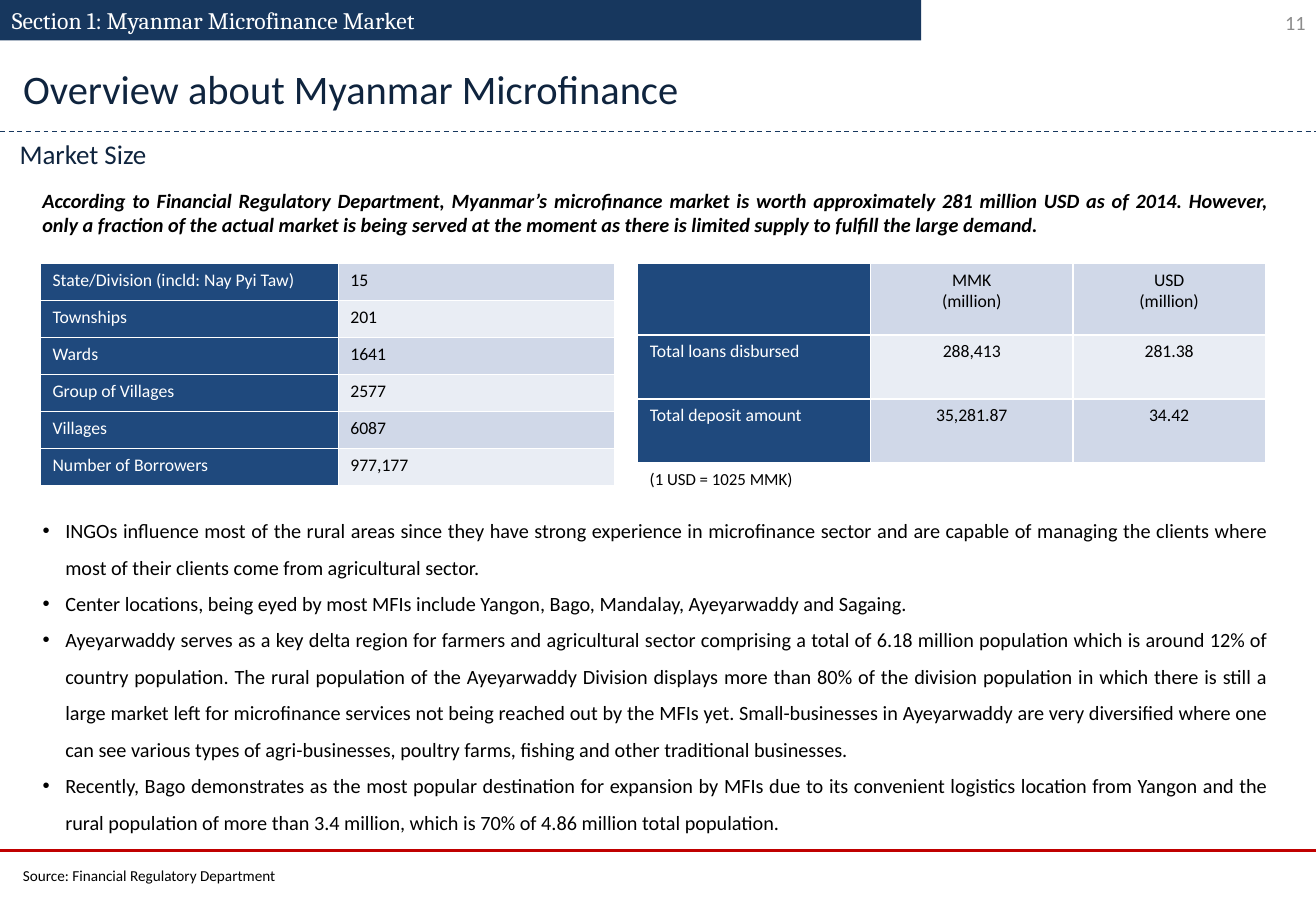
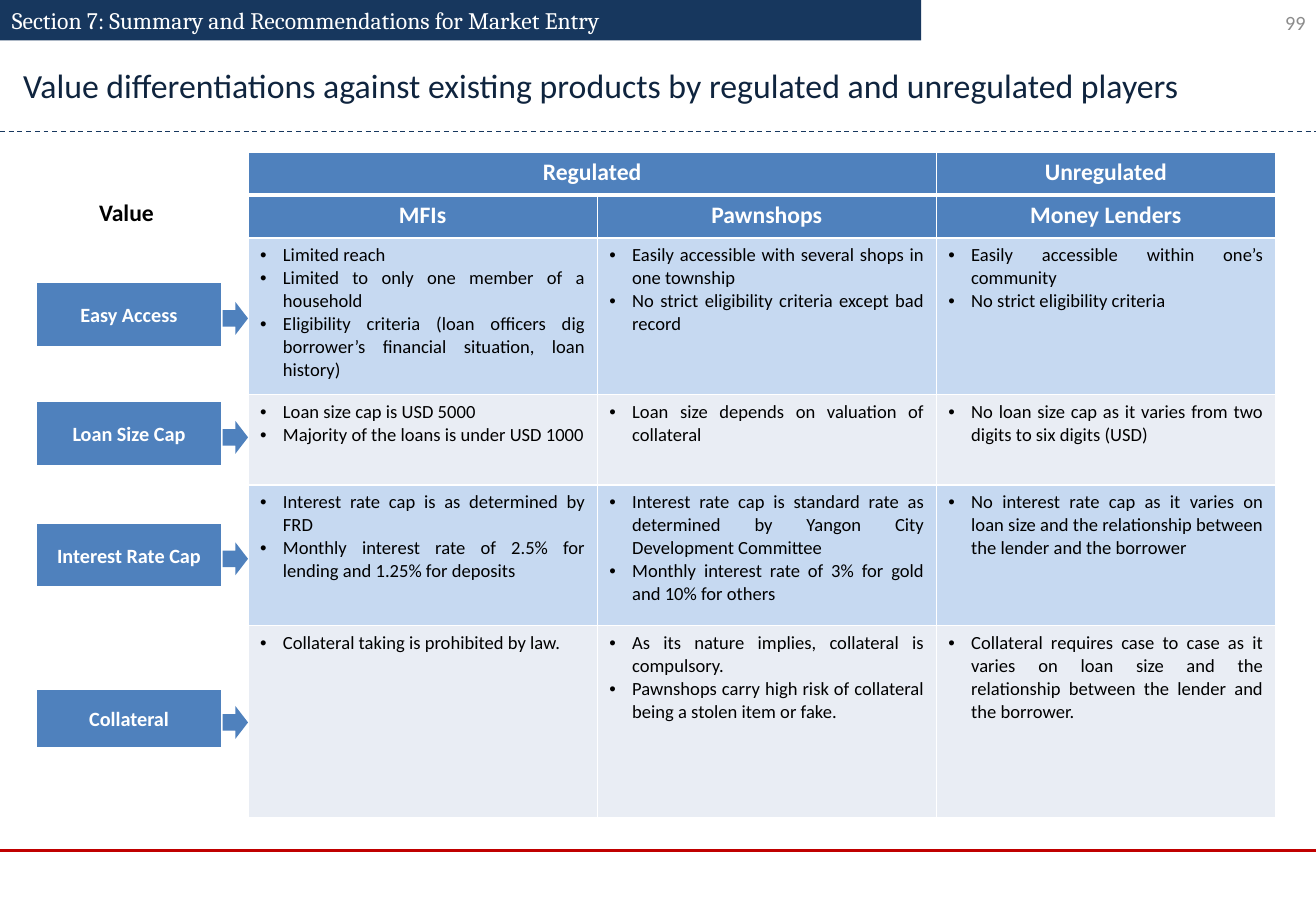
from lxml.etree import SubElement
from pptx import Presentation
from pptx.dml.color import RGBColor
from pptx.enum.dml import MSO_LINE
from pptx.enum.shapes import MSO_CONNECTOR, MSO_SHAPE
from pptx.enum.text import MSO_ANCHOR, MSO_AUTO_SIZE, PP_ALIGN
from pptx.oxml.ns import qn
from pptx.util import Pt

NAVY = RGBColor(0x17, 0x37, 0x5E)
INK = RGBColor(0x0F, 0x24, 0x3E)
RED = RGBColor(0xC0, 0x00, 0x00)
GRAY = RGBColor(0x8C, 0x8C, 0x8C)
BLACK = RGBColor(0x00, 0x00, 0x00)
WHITE = RGBColor(0xFF, 0xFF, 0xFF)
DARK_BLUE = RGBColor(0x1F, 0x49, 0x7D)
BLUE = RGBColor(0x4F, 0x81, 0xBD)
SKY = RGBColor(0xC6, 0xD9, 0xF1)
BAND_DARK = RGBColor(0xD0, 0xD8, 0xE8)
BAND_LIGHT = RGBColor(0xE9, 0xED, 0xF4)
LEFT, CENTER, RIGHT, JUSTIFY = (PP_ALIGN.LEFT, PP_ALIGN.CENTER,
                                PP_ALIGN.RIGHT, PP_ALIGN.JUSTIFY)
WIDTH, HEIGHT = 780, 540


def write(tf, lines, size, color, align=LEFT, bold=False, italic=False,
          font="Calibri", bullet=False, spacing=1.0):
    """Fill a text frame, one paragraph per line."""
    tf.word_wrap = True
    for i, line in enumerate(lines):
        p = tf.paragraphs[0] if i == 0 else tf.add_paragraph()
        if bullet:
            pPr = p._p.get_or_add_pPr()
            pPr.set("marL", str(Pt(13.5)))
            pPr.set("indent", str(-Pt(13.5)))
            SubElement(pPr, qn("a:buFont")).set("typeface", "Arial")
            SubElement(pPr, qn("a:buChar")).set("char", "•")
        p.alignment = align
        p.line_spacing = spacing
        p.space_before = Pt(0)
        r = p.add_run()
        r.text = line
        r.font.name, r.font.size = font, Pt(size)
        r.font.bold, r.font.italic = bold, italic
        r.font.color.rgb = color


def paint(cell, fill, top=1, bottom=1):
    """Give a cell white borders and a solid fill."""
    tcPr = cell._tc.get_or_add_tcPr()
    for side, width in (("L", 1), ("R", 1), ("T", top), ("B", bottom)):
        ln = SubElement(tcPr, qn("a:ln" + side), w=str(Pt(width)))
        SubElement(SubElement(ln, qn("a:solidFill")), qn("a:srgbClr")).set("val", str(WHITE))
    cell.fill.solid()
    cell.fill.fore_color.rgb = fill


prs = Presentation()
prs.slide_width, prs.slide_height = Pt(WIDTH), Pt(HEIGHT)

# Shared frame: section band, rules, page number, title
pages = [
    (1, "Section 1: Myanmar Microfinance Market", "11",
     "Overview about Myanmar Microfinance", 24),
    (5, "Section 7: Summary and Recommendations for Market Entry", "99",
     "Value differentiations against existing products by regulated and unregulated players", 20),
]
for layout, section, number, title, size in pages:
    s = prs.slides.add_slide(prs.slide_layouts[layout])
    band = s.shapes.add_shape(MSO_SHAPE.RECTANGLE, 0, 0, Pt(546), Pt(24))
    band.shadow.inherit = False
    band.fill.solid()
    band.fill.fore_color.rgb = NAVY
    band.line.fill.background()
    band.text_frame.vertical_anchor = MSO_ANCHOR.TOP
    write(band.text_frame, [section], 14, WHITE, font="Cambria")

    for y, color, width, dash in ((78, NAVY, 0.75, MSO_LINE.DASH), (504, RED, 1.5, None)):
        rule = s.shapes.add_connector(MSO_CONNECTOR.STRAIGHT, 0, Pt(y), Pt(WIDTH), Pt(y))
        rule.line.color.rgb = color
        rule.line.width = Pt(width)
        rule.line.dash_style = dash
        SubElement(rule._element.spPr, qn("a:effectLst"))

    sp = s.shapes.add_textbox(Pt(599), Pt(-1.5), Pt(182), Pt(29))
    sp.text_frame.vertical_anchor = MSO_ANCHOR.MIDDLE
    write(sp.text_frame, [number], 12, GRAY, RIGHT)

    sp = s.shapes.title
    sp.left, sp.top, sp.width, sp.height = Pt(6.5), Pt(34.5), Pt(767), Pt(36)
    sp.text_frame.auto_size = MSO_AUTO_SIZE.NONE
    sp.text_frame.vertical_anchor = MSO_ANCHOR.TOP
    write(sp.text_frame, [title], size, INK)

market, values = prs.slides

# Market size: key points
sp = market.placeholders[1]
sp.left, sp.top, sp.width, sp.height = Pt(18), Pt(296.5), Pt(741.5), Pt(204)
sp.text_frame.auto_size = MSO_AUTO_SIZE.NONE
write(sp.text_frame, [
    "INGOs influence most of the rural areas since they have strong experience in microfinance "
    "sector and are capable of managing the clients where most of their clients come from "
    "agricultural sector.",
    "Center locations, being eyed by most MFIs include Yangon, Bago, Mandalay, Ayeyarwaddy and "
    "Sagaing.",
    "Ayeyarwaddy serves as a key delta region for farmers and agricultural sector comprising a "
    "total of 6.18 million population which is around 12% of country population. The rural "
    "population of the Ayeyarwaddy Division displays more than 80% of the division population in "
    "which there is still a large market left for microfinance services not being reached out by "
    "the MFIs yet. Small-businesses in Ayeyarwaddy are very diversified where one can see various "
    "types of agri-businesses, poultry farms, fishing and other traditional businesses.",
    "Recently, Bago demonstrates as the most popular destination for expansion by MFIs due to its "
    "convenient logistics location from Yangon and the rural population of more than 3.4 million, "
    "which is 70% of 4.86 million total population.",
], 12, BLACK, JUSTIFY, bullet=True, spacing=1.5)

# Market size: subtitle, lead sentence, exchange rate, source
lead = ("According to Financial Regulatory Department, Myanmar’s microfinance market is worth "
        "approximately 281 million USD as of 2014. However, only a fraction of the actual market "
        "is being served at the moment as there is limited supply to fulfill the large demand.")
for x, y, w, h, text, size, color, align, strong in (
        (4.5, 78, 719, 27, "Market Size", 16, INK, LEFT, False),
        (18, 108, 741.5, 36, lead, 12, BLACK, JUSTIFY, True),
        (378, 274.5, 120, 19, "(1 USD = 1025 MMK)", 10, BLACK, LEFT, False),
        (6.5, 510, 559, 18, "Source: Financial Regulatory Department", 9, BLACK, LEFT, False)):
    sp = market.shapes.add_textbox(Pt(x), Pt(y), Pt(w), Pt(h))
    write(sp.text_frame, [text], size, color, align, bold=strong, italic=strong)

# Market size: coverage and amount tables
coverage = [
    ["State/Division (incld: Nay Pyi Taw)", "15"],
    ["Townships", "201"],
    ["Wards", "1641"],
    ["Group of Villages", "2577"],
    ["Villages", "6087"],
    ["Number of Borrowers", "977,177"],
]
amounts = [
    ["", "MMK\n(million)", "USD\n(million)"],
    ["Total loans disbursed", "288,413", "281.38"],
    ["Total deposit amount", "35,281.87", "34.42"],
]
for x, widths, heights, rows, align in (
        (24, [176.5, 164], [22] * 6, coverage, LEFT),
        (378, [138, 120, 114], [42.5, 38, 38], amounts, CENTER)):
    table = market.shapes.add_table(len(rows), len(widths), Pt(x), Pt(156),
                                    Pt(sum(widths)), Pt(sum(heights))).table
    table.first_row = table.horz_banding = False
    for c, width in enumerate(widths):
        table.columns[c].width = Pt(width)
    for r, row in enumerate(rows):
        table.rows[r].height = Pt(heights[r])
        for c, text in enumerate(row):
            cell = table.cell(r, c)
            paint(cell, DARK_BLUE if c == 0 else (BAND_DARK, BAND_LIGHT)[r % 2])
            if text:
                write(cell.text_frame, text.split("\n"), 10.5,
                      WHITE if c == 0 else BLACK, LEFT if c == 0 else align)

# Value comparison: table
heads = [["Regulated", "", "Unregulated"], ["MFIs", "Pawnshops", "Money Lenders"]]
comparison = [
    [["Limited reach",
      "Limited to only one member of a household",
      "Eligibility criteria (loan officers dig borrower’s financial situation, loan history)"],
     ["Easily accessible with several shops in one township",
      "No strict eligibility criteria except bad record"],
     ["Easily accessible within one’s community",
      "No strict eligibility criteria"]],
    [["Loan size cap is USD 5000",
      "Majority of the loans is under USD 1000"],
     ["Loan size depends on valuation of collateral"],
     ["No loan size cap as it varies from two digits to six digits (USD)"]],
    [["Interest rate cap is as determined by FRD",
      "Monthly interest rate of 2.5% for lending and 1.25% for deposits"],
     ["Interest rate cap is standard rate as determined by Yangon City Development Committee",
      "Monthly interest rate of 3% for gold and 10% for others"],
     ["No interest rate cap as it varies on loan size and the relationship between the lender "
      "and the borrower"]],
    [["Collateral taking is prohibited by law."],
     ["As its nature implies, collateral is compulsory.",
      "Pawnshops carry high risk of collateral being a stolen item or fake."],
     ["Collateral requires case to case as it varies on loan size and the relationship between "
      "the lender and the borrower."]],
]
widths, heights = [207, 201, 201], [25.5, 25.5, 93, 53.5, 83.5, 114]
table = values.shapes.add_table(len(heights), len(widths), Pt(147), Pt(90),
                                Pt(sum(widths)), Pt(sum(heights))).table
table.horz_banding = table.first_row = False
for c, width in enumerate(widths):
    table.columns[c].width = Pt(width)
for r, height in enumerate(heights):
    table.rows[r].height = Pt(height)
table.cell(0, 0).merge(table.cell(0, 1))
for r, row in enumerate(heads):
    for c, text in enumerate(row):
        paint(table.cell(r, c), BLUE, top=3 if r == 1 else 1, bottom=3 if r == 0 else 1)
        if text:
            write(table.cell(r, c).text_frame, [text], 14, WHITE, CENTER, bold=True)
for r, row in enumerate(comparison):
    for c, points in enumerate(row):
        cell = table.cell(r + len(heads), c)
        paint(cell, (SKY, BAND_LIGHT)[r % 2])
        write(cell.text_frame, points, 11, BLACK, JUSTIFY, bullet=True)

# Value comparison: row labels with arrows
sp = values.shapes.add_textbox(Pt(30), Pt(114), Pt(90), Pt(24))
write(sp.text_frame, ["Value"], 14, BLACK, CENTER, bold=True)
for label, top, height in (("Easy Access", 167, 39), ("Loan Size Cap", 237.5, 39),
                           ("Interest Rate Cap", 309.5, 39), ("Collateral", 408, 36)):
    box = values.shapes.add_shape(MSO_SHAPE.RECTANGLE, Pt(21), Pt(top), Pt(111), Pt(height))
    arrow = values.shapes.add_shape(MSO_SHAPE.RIGHT_ARROW, Pt(132),
                                    Pt(top + height / 2 - 7.5), Pt(15), Pt(19.5))
    for sp in (box, arrow):
        sp.shadow.inherit = False
        sp.fill.solid()
        sp.fill.fore_color.rgb = BLUE
    box.line.color.rgb = WHITE
    box.line.width = Pt(2)
    arrow.line.fill.background()
    box.text_frame.vertical_anchor = MSO_ANCHOR.MIDDLE
    write(box.text_frame, [label], 12, WHITE, CENTER, bold=True)

prs.save("out.pptx")
